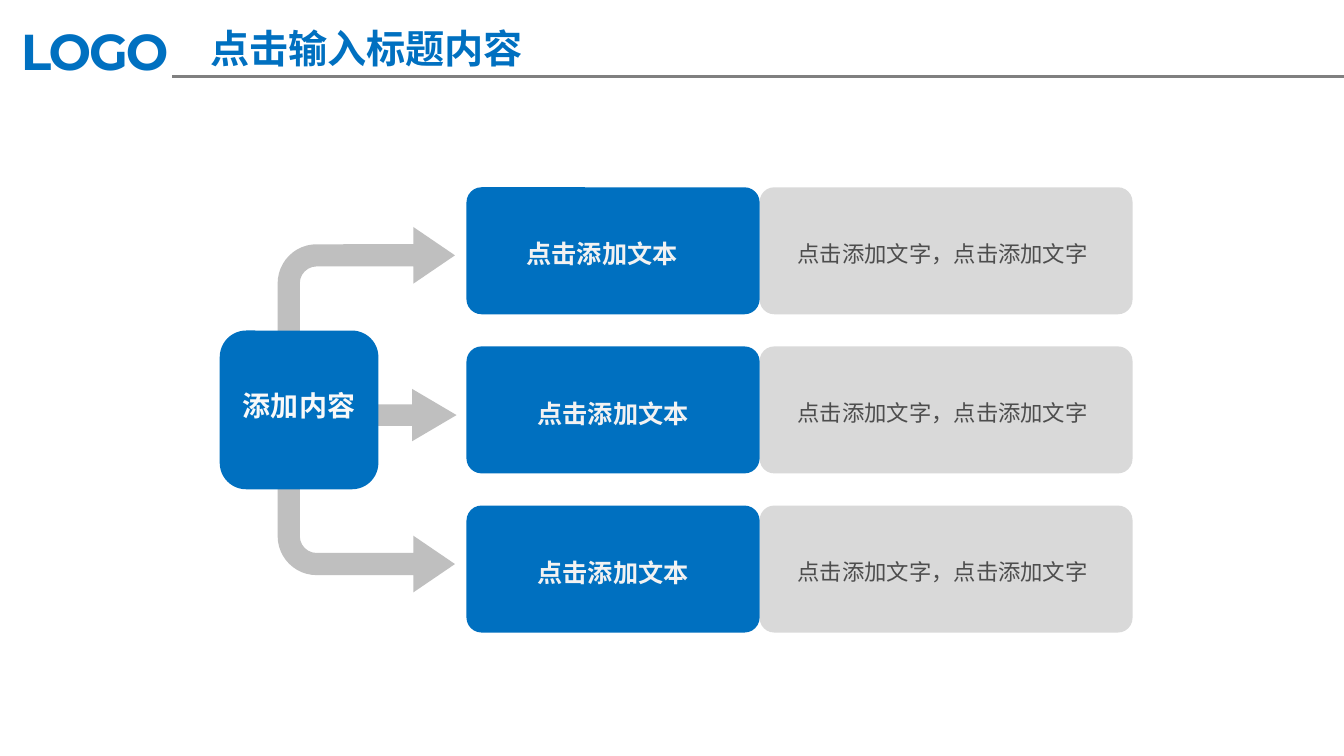
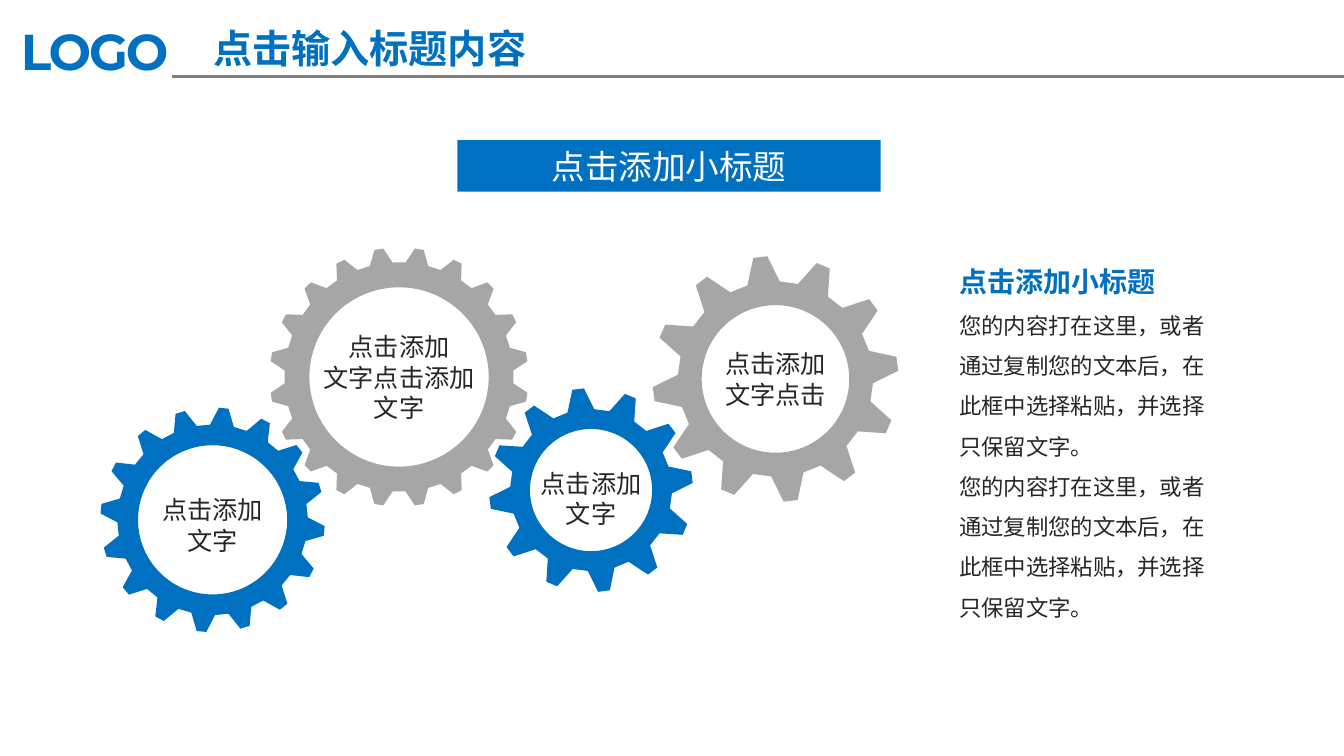
from math import cos, pi, radians, sin

from lxml.etree import SubElement
from pptx import Presentation
from pptx.dml.color import RGBColor
from pptx.enum.shapes import MSO_CONNECTOR, MSO_SHAPE
from pptx.enum.text import MSO_ANCHOR, PP_ALIGN
from pptx.oxml.ns import qn
from pptx.util import Cm, Pt

BLUE, GREY, DARK = "0070C0", "A6A6A6", "262626"
SANS = "Noto Sans CJK SC"
LEFT, MID = PP_ALIGN.LEFT, PP_ALIGN.CENTER
TOP, CORE = MSO_ANCHOR.TOP, MSO_ANCHOR.MIDDLE
PAD = (0.25, 0.13, 0.25, 0.13)

FORMATS = {
    "logo": (BLUE, {"size": Pt(36), "bold": True, "name": "Montserrat"}),
    "title": (BLUE, {"size": Pt(28), "bold": True, "name": SANS}),
    "banner": ("FFFFFF", {"size": Pt(24), "bold": False, "name": SANS}),
    "hub": ("F9F9F9", {"size": Pt(20), "bold": True, "name": SANS}),
    "label": ("F2F2F2", {"size": Pt(18), "bold": True, "name": SANS}),
    "note": ("4D4D4D", {"size": Pt(16), "bold": False, "name": SANS}),
    "gear": (DARK, {"size": Pt(18), "bold": False, "name": SANS}),
    "head": (BLUE, {"size": Pt(20), "bold": True, "name": SANS}),
    "body": (DARK, {"size": Pt(16), "bold": False, "name": SANS}),
}


def tint(code):
    """Turn a hex string into a colour."""
    return RGBColor.from_string(code)


def style(run, kind):
    """Apply a named format to a run, for Latin and Chinese letters."""
    code, values = FORMATS[kind]
    run.font.color.rgb = tint(code)
    for key, value in values.items():
        setattr(run.font, key, value)
    SubElement(run.font._element, qn("a:ea")).set("typeface", values["name"])


def write(shape, items, align=MID, anchor=CORE, gap=1.0, pad=PAD):
    """Fill a shape with paragraphs given as (text, format) pairs."""
    frame = shape.text_frame
    sides = ("margin_left", "margin_top", "margin_right", "margin_bottom")
    values = {"word_wrap": True, "vertical_anchor": anchor}
    values.update(zip(sides, map(Cm, pad)))
    for key, value in values.items():
        setattr(frame, key, value)
    for pos, (text, kind) in enumerate(items):
        para = frame.add_paragraph() if pos else frame.paragraphs[0]
        para.alignment, para.line_spacing = align, gap
        run = para.add_run()
        run.text = text
        style(run, kind)


def paint(shape, code):
    """Give a shape a plain fill with no line or shadow."""
    shape.shadow.inherit = False
    shape.fill.solid()
    shape.fill.fore_color.rgb = tint(code)
    shape.line.fill.background()
    return shape


def block(slide, form, box, code, bends=()):
    """Add a preset shape with its adjustments."""
    shape = slide.shapes.add_shape(form, *map(Cm, box))
    for pos, bend in enumerate(bends):
        shape.adjustments[pos] = bend
    return paint(shape, code)


def label(slide, box, items, **options):
    """Add a text box."""
    shape = slide.shapes.add_textbox(*map(Cm, box))
    write(shape, items, **options)
    return shape


def polar(x, y, rad, turn):
    """Find a point at a clockwise angle from the top of a circle."""
    return Cm(x + rad * sin(turn)), Cm(y - rad * cos(turn))


def gear(slide, mid, radii, teeth, turn, code, lines, drop=0):
    """Draw a toothed ring and the text in its hole."""
    tip, root, hole = radii
    pitch = 2 * pi / teeth
    tooth = ((-0.32, root), (-0.11, tip), (0.11, tip), (0.32, root))
    rim = [polar(*mid, rad, radians(turn) + (pos + part) * pitch)
           for pos in range(teeth) for part, rad in tooth]
    ring = [polar(*mid, hole, radians(-3 * step)) for step in range(120)]
    outline = slide.shapes.build_freeform(*rim[0])
    outline.add_line_segments(rim[1:])
    outline.move_to(*ring[0])
    outline.add_line_segments(ring[1:])
    paint(outline.convert_to_shape(), code)
    wide, high = 4.42, 2.57
    box = (mid[0] - wide / 2, mid[1] - high / 2 + drop, wide, high)
    label(slide, box, [(line, "gear") for line in lines])


def base(deck, left):
    """Add a slide with the logo word, the rule and the title."""
    slide = deck.slides.add_slide(deck.slide_layouts[6])
    logo = label(slide, (0.2, 0.33, 4.72, 1.88), [("LOGO", "logo")],
                 align=LEFT, anchor=TOP, pad=(0.33, 0.18, 0.33, 0.18))
    logo.text_frame.paragraphs[0].runs[0].font._element.set("spc", "-150")
    rule = slide.shapes.add_connector(
        MSO_CONNECTOR.STRAIGHT, Cm(4.34), Cm(1.93), Cm(33.88), Cm(1.93))
    rule.line.color.rgb = tint("808080")
    rule.line.width = Pt(2)
    SubElement(rule.element.spPr, qn("a:effectLst"))
    label(slide, (left, 0.48, 9.14, 1.45), [("点击输入标题内容", "title")],
          anchor=TOP)
    return slide


def branch(deck):
    """Build the slide with one hub and three rows."""
    slide = base(deck, 4.67)
    pale, bend = "BFBFBF", (0.125, 0.16, 0.235, 0.22)
    block(slide, MSO_SHAPE.BENT_ARROW, (7, 5.72, 4.47, 5.2), pale, bend)
    lower = block(slide, MSO_SHAPE.BENT_ARROW, (7, 9.73, 4.47, 5.2), pale, bend)
    lower.element.spPr.xfrm.set("flipV", "1")
    block(slide, MSO_SHAPE.RIGHT_ARROW, (6.2, 9.8, 5.31, 1.32), pale, (0.41, 0.85))
    for row, right in enumerate((0.8, 0.25, 0.25)):
        top = 4.72 + 4.01 * row
        card = block(slide, MSO_SHAPE.ROUNDED_RECTANGLE, (19.15, top, 9.4, 3.2),
                     "D9D9D9", (0.115,))
        write(card, [("点击添加文字，点击添加文字", "note")], align=LEFT, gap=1.2,
              pad=(0.85, 0.13, 0.25, 0.13))
        name = block(slide, MSO_SHAPE.ROUNDED_RECTANGLE, (11.76, top, 7.39, 3.2),
                     BLUE, (0.119,))
        write(name, [("点击添加文本", "label")], gap=1.2,
              pad=(0.25, 0.13, right, 0.13))
    hub = block(slide, MSO_SHAPE.ROUNDED_RECTANGLE, (5.54, 8.33, 4, 4), BLUE)
    write(hub, [("添加内容", "hub")], gap=1.2, pad=(0.36, 0.13, 0.36, 0.51))


def train(deck):
    """Build the slide with four gears and a side text."""
    slide = base(deck, 4.75)
    gear(slide, (10.06, 9.5), (3.26, 2.89, 2.26), 20, 9, GREY,
         ("点击添加", "文字点击添加", "文字"))
    gear(slide, (14.9, 12.35), (2.57, 2.04, 1.54), 12, -7.3, BLUE,
         ("点击添加", "文字"), 0.21)
    gear(slide, (5.36, 13.1), (2.83, 2.4, 1.88), 16, 5.7, BLUE,
         ("点击添加", "文字"), 0.13)
    gear(slide, (19.55, 9.55), (3.1, 2.46, 1.86), 12, -7.1, GREY,
         ("点击添加", "文字点击"))
    advice = "您的内容打在这里，或者通过复制您的文本后，在此框中选择粘贴，并选择只保留文字。"
    label(slide, (23.93, 6.12, 7.19, 9.75),
          [("点击添加小标题", "head"), (advice, "body"), (advice, "body")],
          align=LEFT, anchor=TOP, gap=1.5)
    banner = block(slide, MSO_SHAPE.RECTANGLE, (11.53, 3.53, 10.67, 1.3), BLUE)
    write(banner, [("点击添加小标题", "banner")])


def main():
    """Build and save the deck."""
    deck = Presentation()
    deck.slide_width, deck.slide_height = Cm(33.88), Cm(19.05)
    branch(deck)
    train(deck)
    deck.save("out.pptx")


if __name__ == "__main__":
    main()
